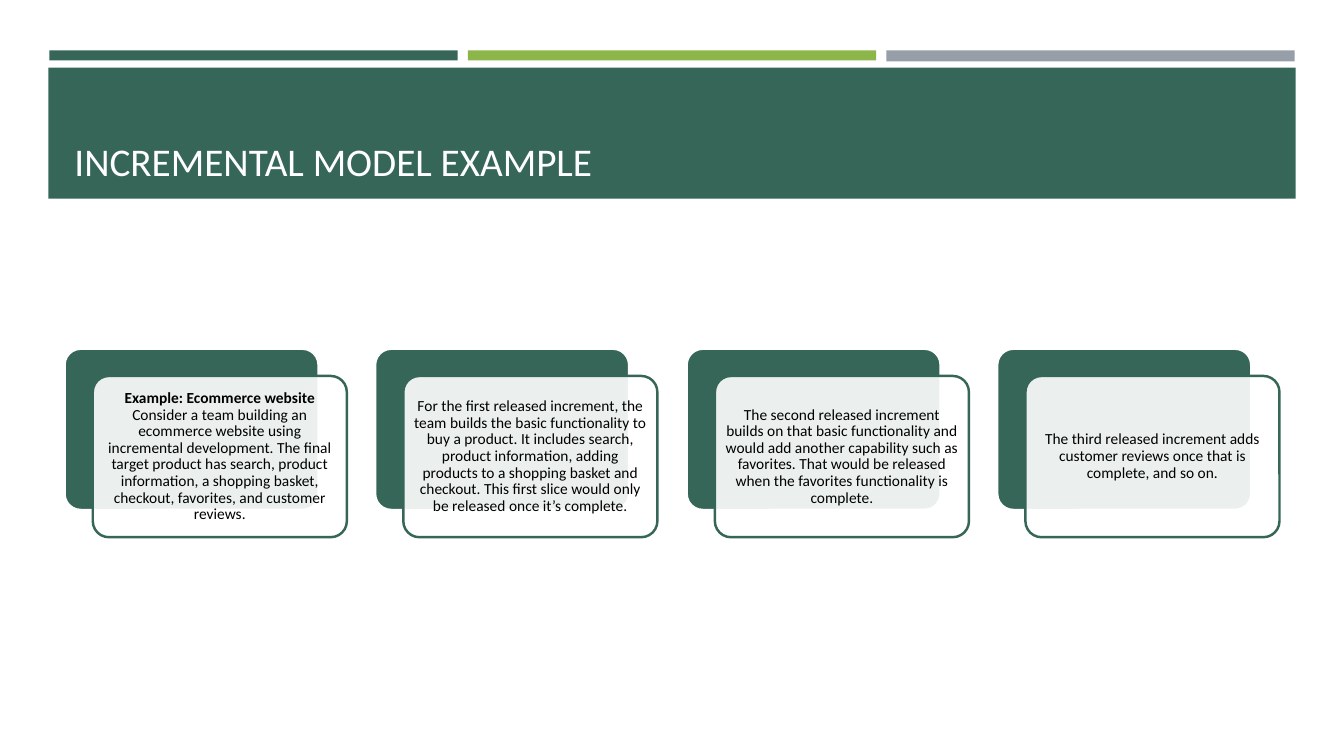
from dataclasses import dataclass
from typing import NamedTuple

from lxml import etree
from pptx import Presentation
from pptx.dml.color import RGBColor
from pptx.enum.shapes import MSO_SHAPE
from pptx.enum.text import MSO_ANCHOR, PP_ALIGN
from pptx.oxml.ns import qn
from pptx.util import Emu, Pt

RECT, ROUND = MSO_SHAPE.RECTANGLE, MSO_SHAPE.ROUNDED_RECTANGLE
LEFT, CENTER = PP_ALIGN.LEFT, PP_ALIGN.CENTER
MIDDLE, BOTTOM = MSO_ANCHOR.MIDDLE, MSO_ANCHOR.BOTTOM
PX = 9144  # 100 px to the inch


@dataclass(frozen=True)
class Theme:
    green: str = "366658"
    lime: str = "8CB64A"
    grey: str = "969FA7"
    white: str = "FFFFFF"
    title: str = "FFFEFF"
    black: str = "000000"
    font: str = "Calibri"
    title_pt: int = 28
    body_pt: int = 11
    line_pt: float = 1.75


class Box(NamedTuple):
    x: int
    y: int
    w: int
    h: int

    def emu(self) -> list[Emu]:
        return [Emu(v * PX) for v in self]


class Bar(NamedTuple):
    box: Box
    fill: str


class Card(NamedTuple):
    body: str
    head: str = ""


THEME = Theme()
BARS = [
    Bar(Box(49, 50, 405, 10), THEME.green),
    Bar(Box(464, 50, 405, 10), THEME.lime),
    Bar(Box(879, 50, 405, 11), THEME.grey),
    Bar(Box(48, 67, 1237, 130), THEME.green),
]
CARDS = [
    Card("Consider a team building an ecommerce website using incremental "
         "development. The final target product has search, product information, "
         "a shopping basket, checkout, favorites, and customer reviews.",
         head="Example: Ecommerce website"),
    Card("For the first released increment, the team builds the basic functionality "
         "to buy a product. It includes search, product information, adding products "
         "to a shopping basket and checkout. This first slice would only be released "
         "once it’s complete."),
    Card("The second released increment builds on that basic functionality and would "
         "add another capability such as favorites. That would be released when the "
         "favorites functionality is complete."),
    Card("The third released increment adds customer reviews once that is complete, "
         "and so on."),
]
FIRST_X, LAST_X, CARD_Y = 64, 989, 346
CARD_W, CARD_H = 252, 160
SHIFT_X, SHIFT_Y, PAD = 28, 27, 5


def add_box(slide, box: Box, fill: str, kind=RECT, line: str = "", alpha: int = 100) -> None:
    """Draw a filled shape; alpha is its opacity in percent."""
    shape = slide.shapes.add_shape(kind, *box.emu())
    shape.shadow.inherit = False
    shape.fill.solid()
    shape.fill.fore_color.rgb = RGBColor.from_string(fill)
    if alpha < 100:
        tint = shape.fill._xPr.find(f".//{qn('a:srgbClr')}")
        etree.SubElement(tint, qn("a:alpha"), val=str(alpha * 1000))
    if kind == ROUND:
        shape.adjustments[0] = 0.1
    if line:
        shape.line.color.rgb = RGBColor.from_string(line)
        shape.line.width = Pt(THEME.line_pt)
    else:
        shape.line.fill.background()


def add_text(slide, box: Box, text: str, *, size: int, color: str, head: str = "",
             align=LEFT, anchor=MIDDLE, pad: tuple[int, int] = (PAD, PAD),
             spacing: float = 1.0, after: int = 0) -> None:
    """Write text, with an optional bold first line in the same paragraph."""
    frame = slide.shapes.add_textbox(*box.emu()).text_frame
    frame.word_wrap = True
    frame.vertical_anchor = anchor
    frame.margin_left = frame.margin_right = Emu(pad[0] * PX)
    frame.margin_top = frame.margin_bottom = Emu(pad[1] * PX)
    para = frame.paragraphs[0]
    para.alignment, para.line_spacing, para.space_after = align, spacing, Pt(after)

    def add_run(words: str, bold: bool) -> None:
        run = para.add_run()
        run.text = words
        font = run.font
        font.name, font.size, font.bold = THEME.font, Pt(size), bold
        font.color.rgb = RGBColor.from_string(color)

    if head:
        add_run(head, True)
        para.add_line_break()
        gap = para._p.find(qn("a:br"))
        etree.SubElement(gap, qn("a:rPr"), sz=str(size * 100))
    add_run(text, False)


def add_card(slide, card: Card, x: int) -> None:
    back = Box(x, CARD_Y, CARD_W, CARD_H)
    front = Box(x + SHIFT_X, CARD_Y + SHIFT_Y, CARD_W, CARD_H)
    inner = Box(front.x + PAD, front.y + PAD, CARD_W - 2 * PAD, CARD_H - 2 * PAD)
    add_box(slide, back, THEME.green, ROUND, line=THEME.white)
    add_box(slide, front, THEME.white, ROUND, line=THEME.green, alpha=90)
    add_text(slide, inner, card.body, head=card.head, size=THEME.body_pt,
             color=THEME.black, align=CENTER, spacing=0.9, after=4)


def main() -> None:
    deck = Presentation()
    deck.slide_width, deck.slide_height = Emu(1333 * PX), Emu(750 * PX)
    slide = deck.slides.add_slide(deck.slide_layouts[6])
    for bar in BARS:
        add_box(slide, bar.box, bar.fill)
    add_text(slide, Box(64, 77, 1206, 111), "INCREMENTAL MODEL EXAMPLE",
             size=THEME.title_pt, color=THEME.title, anchor=BOTTOM, pad=(10, 5))
    step = (LAST_X - FIRST_X) / (len(CARDS) - 1)
    for i, card in enumerate(CARDS):
        add_card(slide, card, round(FIRST_X + i * step))
    deck.save("out.pptx")


if __name__ == "__main__":
    main()
